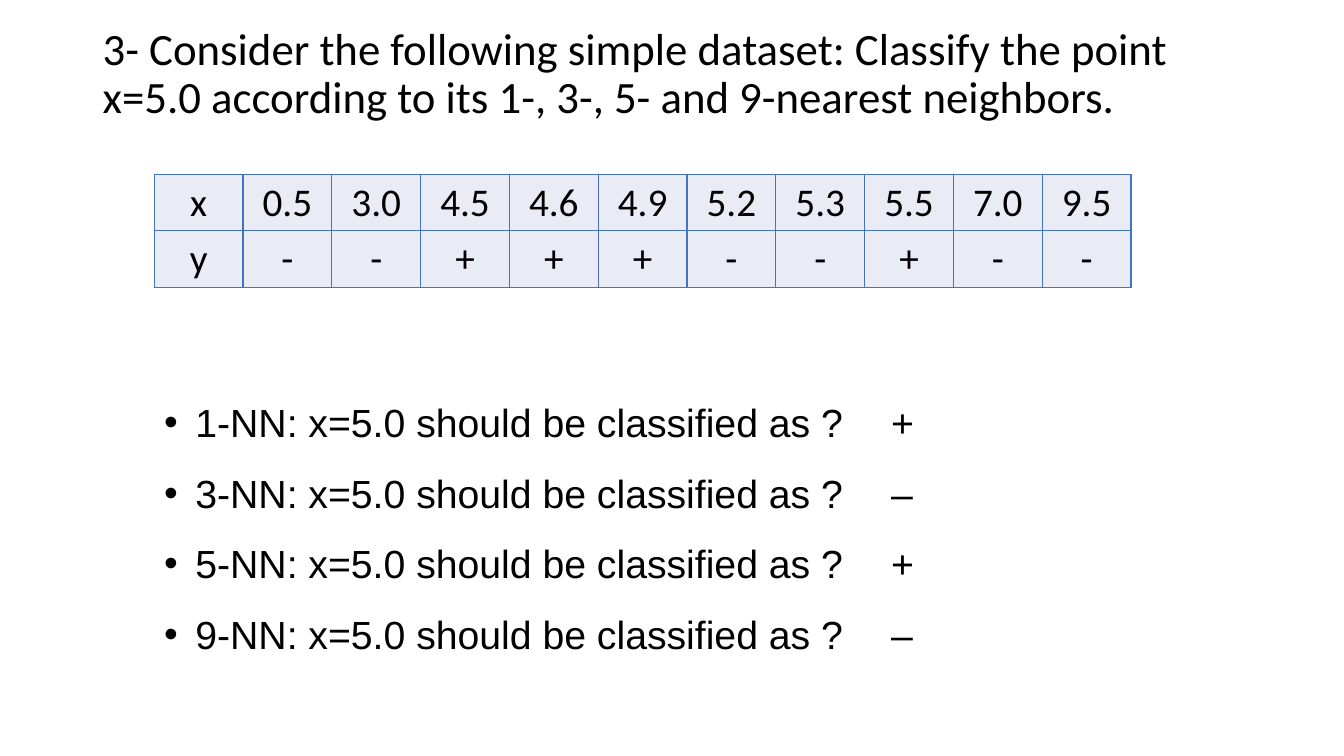
"""Build the nearest-neighbor exercise slide."""
from lxml import etree
from pptx import Presentation
from pptx.dml.color import RGBColor
from pptx.enum import text
from pptx.oxml import ns
from pptx.util import Inches, Pt

BLACK = RGBColor(0, 0, 0)
BLUE = RGBColor(0x44, 0x72, 0xC4)
PALE = RGBColor(0xE9, 0xEB, 0xF5)


def write(frame, lines, font="Arial", size=28, space=None, align=None,
          anchor=text.MSO_ANCHOR.TOP, bullet=False):
    """Fill a text frame with one paragraph for each line."""
    frame.word_wrap = True
    frame.vertical_anchor = anchor
    for i, line in enumerate(lines):
        para = frame.add_paragraph() if i else frame.paragraphs[0]
        para.line_spacing = space
        para.alignment = align
        run = para.add_run()
        run.text = line
        run.font.name = font
        run.font.size = Pt(size)
        run.font.color.rgb = BLACK
        if bullet:
            props = para._p.get_or_add_pPr()
            props.set("marL", str(Inches(0.31)))
            props.set("indent", str(-Inches(0.31)))
            etree.SubElement(props, ns.qn("a:buFont")).set("typeface", "Arial")
            etree.SubElement(props, ns.qn("a:buChar")).set("char", "•")


deck = Presentation()
deck.slide_width = Inches(13.33)
deck.slide_height = Inches(7.5)
slide = deck.slides.add_slide(deck.slide_layouts[6])
items = slide.shapes

title = items.add_textbox(Inches(0.92), Inches(0.02), Inches(11.5), Inches(1.45))
write(title.text_frame,
      ["3- Consider the following simple dataset: Classify the point x=5.0 "
       "according to its 1-, 3-, 5- and 9-nearest neighbors."],
      font="Calibri", size=32, space=0.9, anchor=text.MSO_ANCHOR.MIDDLE)

data = ["x 0.5 3.0 4.5 4.6 4.9 5.2 5.3 5.5 7.0 9.5".split(),
        "y - - + + + - - + - -".split()]
grid = items.add_table(len(data), len(data[0]), Inches(1.53), Inches(1.73),
                       Inches(9.69), Inches(1.12)).table
for r, row in enumerate(data):
    for c, value in enumerate(row):
        cell = grid.cell(r, c)
        write(cell.text_frame, [value], font="Calibri",
              align=text.PP_ALIGN.CENTER)
        cell.vertical_anchor = text.MSO_ANCHOR.MIDDLE
        cell.margin_left = cell.margin_right = cell.margin_top = Inches(0.01)
        cell.margin_bottom = 0
        props = cell._tc.get_or_add_tcPr()
        for side in "LRTB":
            edge = etree.SubElement(props, ns.qn(f"a:ln{side}"), w=str(Pt(1)))
            fill = etree.SubElement(edge, ns.qn("a:solidFill"))
            etree.SubElement(fill, ns.qn("a:srgbClr"), val=str(BLUE))
        cell.fill.solid()
        cell.fill.fore_color.rgb = PALE

asks = [f"{k}-NN: x=5.0 should be classified as ?" for k in (1, 3, 5, 9)]
for left, width, lines, bullet in ((1.53, 7.2, asks, True),
                                   (8.74, 1, "+–+–", False)):
    box = items.add_textbox(Inches(left), Inches(3.67), Inches(width), Inches(2.93))
    write(box.text_frame, lines, space=1.5, bullet=bullet)

deck.save("out.pptx")
